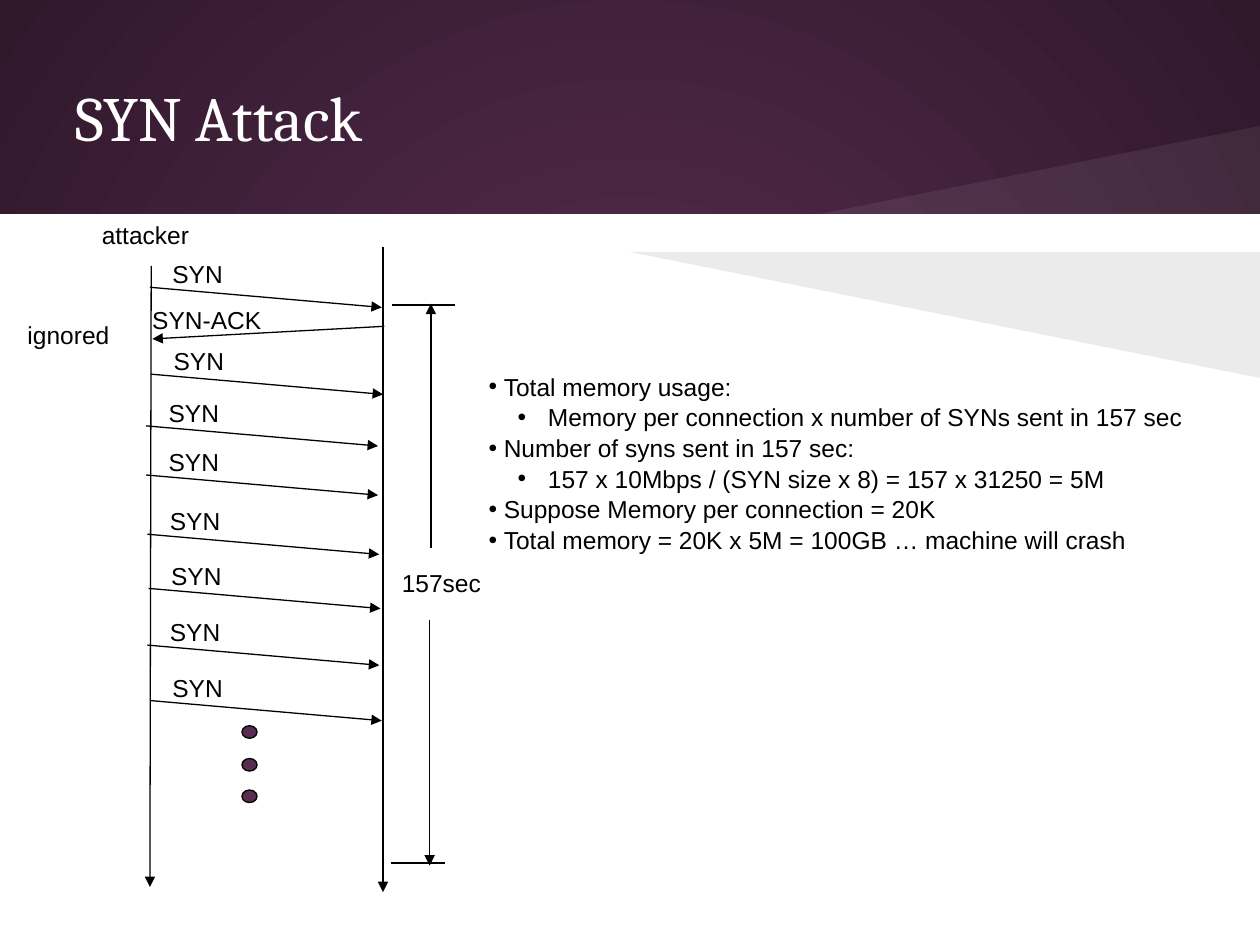
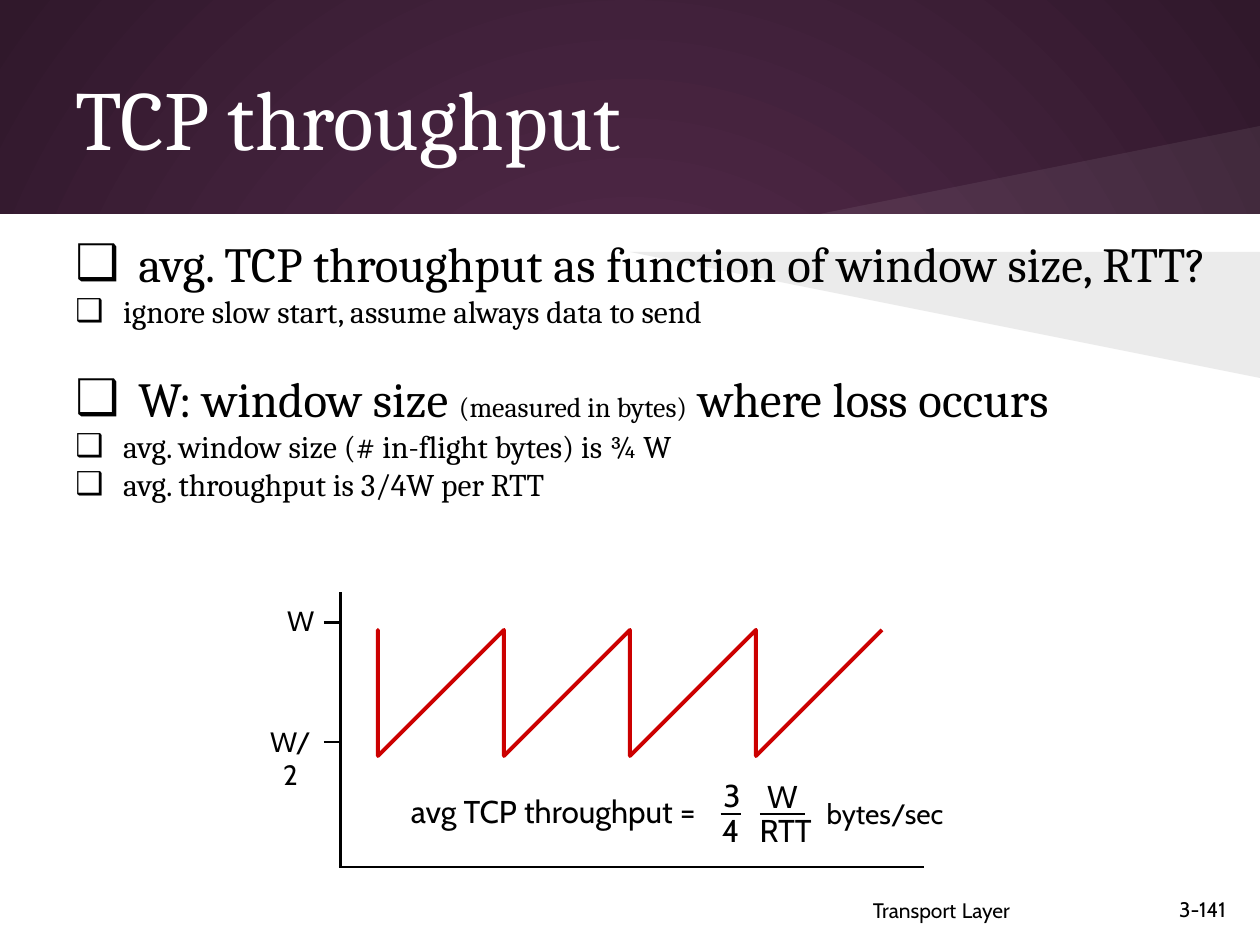
from lxml import etree
from pptx import Presentation
from pptx.dml.color import RGBColor
from pptx.enum import shapes, text
from pptx.oxml.ns import qn
from pptx.util import Inches, Pt

PLUM, DARK_PLUM, BLACK, WHITE, RED = "592D50", "30182B", "000000", "FFFFFF", "CC0000"
SERIF, SANS, CABIN = "Cambria", "Arial", "Cabin"
BAND_BOTTOM = 1.7

# SYN attack: where each SYN arrow starts
SYN_STARTS = [(1.19, 2.28), (1.2, 2.97), (1.16, 3.38), (1.16, 3.77),
              (1.17, 4.24), (1.18, 4.67), (1.17, 5.12), (1.19, 5.56)]
SYN_RUN, SYN_DROP = 1.84, 0.16
ATTACK_ARROWS = [
    (1.2, 2.11, 1.19, 7.04),   # attacker timeline
    (3.04, 1.96, 3.04, 7.08),  # victim timeline
    (3.05, 2.59, 1.21, 2.69),  # SYN-ACK
    (3.41, 4.92, 3.41, 6.87),  # end of the 157 seconds
    (3.42, 4.35, 3.42, 2.41),  # start of the 157 seconds
]
SPAN_LIMITS = [(3.11, 2.42, 3.61, 2.42), (3.1, 6.85, 3.53, 6.85)]
ATTACK_LABELS = [
    ("attacker", 0.71, 1.7, 1.1),
    ("ignored", 0.12, 2.49, 0.97),
    ("SYN-ACK", 1.11, 2.37, 1.2),
    ("157sec", 3.09, 4.46, 0.91),
]
DOT_TOPS = [5.76, 6.02, 6.27]
MEMORY_NOTES = [  # level, text
    (0, "Total memory usage:"),
    (1, "Memory per connection x number of SYNs sent in 157 sec"),
    (0, "Number of syns sent in 157 sec:"),
    (1, "157 x 10Mbps / (SYN size x 8) = 157 x 31250 = 5M"),
    (0, "Suppose Memory per connection = 20K"),
    (0, "Total memory = 20K x 5M = 100GB … machine will crash"),
]
NOTE_INDENTS = [(0.12, 0.12), (0.47, 0.24)]  # text indent, hanging part

# TCP throughput: indent, space before, spans of (text, size)
THROUGHPUT_NOTES = [
    (0.5, 0, [("avg. TCP throughput as function of window size, RTT?", 28)]),
    (0.38, 0, [("ignore slow start, assume always data to send", 18)]),
    (0.5, 22, [("W: window size ", 28), ("(measured in bytes)", 16),
               (" where loss occurs", 28)]),
    (0.38, 0, [("avg. window size (# in-flight bytes) is ¾ W", 18)]),
    (0.38, 0, [("avg. throughput is 3/4W per RTT", 18)]),
]
FOOTERS = [
    ([("Transport", 12), (" ", 14), ("Layer", 12)], 6.83, 7.05, 3.17),
    ([("3-141", 12)], 9.26, 7.07, 0.74),
]
WINDOW_PEAKS = [3.41, 4.12, 4.86, 5.55, 6.28, 7]
WINDOW_LOW, WINDOW_HIGH, WINDOW_START = 5.91, 4.94, 2.69
GRAPH_LINES = [
    (2.69, 6.88, 7.33, 6.88), (2.7, 4.7, 2.7, 6.89),  # axes
    (2.57, 4.94, 2.69, 4.94), (2.57, 5.89, 2.69, 5.89),  # ticks
    (5.72, 6.46, 5.88, 6.46), (6.03, 6.46, 6.39, 6.46),  # fraction bars
]
GRAPH_LABELS = [  # text, size, left, top, width, wraps
    ("W", 16, 2.18, 4.74, 0.4, False),
    ("W/2", 16, 2.03, 5.7, 0.55, True),
    ("avg TCP throughput = ", 18, 3.03, 6.24, 2.78, False),
    ("3", 18, 5.64, 6.11, 0.34, False),
    ("4", 18, 5.63, 6.39, 0.34, False),
    ("W", 18, 5.99, 6.12, 0.43, False),
    ("RTT", 18, 5.91, 6.39, 0.65, False),
    ("bytes/sec", 16, 6.46, 6.27, 1.13, False),
]


def color(hex_text):
    return RGBColor.from_string(hex_text)


def paint(shape, fill=None, line=None, width=0.75, alpha=None):
    shape.shadow.inherit = False
    if fill:
        shape.fill.solid()
        shape.fill.fore_color.rgb = color(fill)
        if alpha:
            tone = shape.fill._xPr.find(".//" + qn("a:srgbClr"))
            etree.SubElement(tone, qn("a:alpha"), val=str(alpha * 1000))
    else:
        shape.fill.background()
    if line:
        shape.line.color.rgb = color(line)
        shape.line.width = Pt(width)
    else:
        shape.line.fill.background()


def add_outline(page, points, closed, **look):
    builder = page.shapes.build_freeform(*points[0], scale=Inches(1))
    builder.add_line_segments(points[1:], close=closed)
    paint(builder.convert_to_shape(), **look)


def add_line(page, ends, width=0.75, arrow=False):
    line = page.shapes.add_connector(shapes.MSO_CONNECTOR.STRAIGHT,
                                     *(Inches(value) for value in ends))
    line.line.color.rgb = color(BLACK)
    line.line.width = Pt(width)
    if arrow:
        etree.SubElement(line.line._get_or_add_ln(), qn("a:tailEnd"), type="triangle")
    etree.SubElement(line._element.spPr, qn("a:effectLst"))


def add_box(page, left, top, width, height=0.37, wrap=True, inset=0.05):
    box = page.shapes.add_textbox(*(Inches(v) for v in (left, top, width, height)))
    frame = box.text_frame
    frame.word_wrap = wrap
    frame.margin_top = frame.margin_bottom = Inches(inset)
    return frame


def set_bullet(para, mark, indent, hanging):
    props = para._p.get_or_add_pPr()
    props.set("marL", str(Inches(indent)))
    props.set("indent", str(-Inches(hanging)))
    tint = etree.SubElement(props, qn("a:buClr"))
    etree.SubElement(tint, qn("a:srgbClr"), val=BLACK)
    etree.SubElement(props, qn("a:buFont"), typeface=SANS)
    etree.SubElement(props, qn("a:buChar"), char=mark)


def add_spans(para, spans, font, tone=BLACK):
    for words, size in spans:
        span = para.add_run()
        span.text = words
        span.font.name = font
        span.font.size = Pt(size)
        span.font.color.rgb = color(tone)


def add_label(page, words, left, top, width, size=14, font=SANS, wrap=True, centred=False):
    para = add_box(page, left, top, width, wrap=wrap).paragraphs[0]
    if centred:
        para.alignment = text.PP_ALIGN.CENTER
    add_spans(para, [(words, size)], font)


def add_bullets(frame, items, mark, font):
    """Each item is (indent, hanging, space before, spans)."""
    for number, (indent, hanging, before, spans) in enumerate(items):
        para = frame.add_paragraph() if number else frame.paragraphs[0]
        if number and before:
            para.space_before = Pt(before)
        set_bullet(para, mark, indent, hanging)
        add_spans(para, spans, font)


def set_background(page):
    fill = page.background.fill
    fill.gradient()
    for stop, tone in zip(fill.gradient_stops, (PLUM, DARK_PLUM)):
        stop.color.rgb = color(tone)
    gradient = page._element.find(".//" + qn("a:gradFill"))
    gradient.remove(gradient.find(qn("a:lin")))
    circle = etree.SubElement(gradient, qn("a:path"), path="circle")
    etree.SubElement(circle, qn("a:fillToRect"), l="50000", t="50000", r="50000", b="50000")


def add_page(deck, title, size):
    page = deck.slides.add_slide(deck.slide_layouts[6])
    set_background(page)
    sheet = page.shapes.add_shape(shapes.MSO_SHAPE.RECTANGLE, 0, Inches(BAND_BOTTOM),
                                  Inches(10), Inches(7.5 - BAND_BOTTOM))
    paint(sheet, WHITE)
    for tip, tone, alpha in ((0.83, WHITE, 7), (2.53, BLACK, 8)):
        corners = [(10, BAND_BOTTOM), (4.95, BAND_BOTTOM), (10, tip)]
        add_outline(page, corners, True, fill=tone, alpha=alpha)
    frame = add_box(page, 0.5, 0.3, 9, 1.25, inset=0.1)
    frame.vertical_anchor = text.MSO_ANCHOR.MIDDLE
    add_spans(frame.paragraphs[0], [(title, size)], SERIF, WHITE)
    return page


def build_attack(deck):
    page = add_page(deck, "SYN Attack", 36)
    for ends in ATTACK_ARROWS:
        add_line(page, ends, arrow=True)
    for ends in SPAN_LIMITS:
        add_line(page, ends)
    for x, y in SYN_STARTS:
        add_line(page, (x, y, x + SYN_RUN, y + SYN_DROP), arrow=True)
        add_label(page, "SYN", x + 0.08, y - 0.27, 0.67)
    for label in ATTACK_LABELS:
        add_label(page, *label)
    for top in DOT_TOPS:
        dot = page.shapes.add_shape(shapes.MSO_SHAPE.OVAL, Inches(1.92), Inches(top),
                                    Inches(0.12), Inches(0.1))
        paint(dot, PLUM, BLACK)
    notes = [(*NOTE_INDENTS[level], 0.7, [(words, 14)]) for level, words in MEMORY_NOTES]
    add_bullets(add_box(page, 3.78, 2.9, 6.01, 1.73), notes, "•", SANS)


def build_throughput(deck):
    page = add_page(deck, "TCP throughput", 48)
    notes = [(indent, indent, before, spans) for indent, before, spans in THROUGHPUT_NOTES]
    add_bullets(add_box(page, 0.5, 1.75, 9.5, 5.43, inset=0.1), notes, "❑", SERIF)
    for spans, left, top, width in FOOTERS:
        add_spans(add_box(page, left, top, width, 0.3).paragraphs[0], spans, CABIN)
    for ends in GRAPH_LINES:
        add_line(page, ends, width=1.5)
    sawtooth = [(WINDOW_START, WINDOW_LOW)]
    for peak in WINDOW_PEAKS:
        sawtooth += [(peak, WINDOW_HIGH), (peak, WINDOW_LOW)]
    add_outline(page, sawtooth[:-1], False, line=RED, width=2.25)
    for words, size, left, top, width, wrap in GRAPH_LABELS:
        add_label(page, words, left, top, width, size, CABIN, wrap, centred=True)


def main():
    deck = Presentation()
    deck.slide_width, deck.slide_height = Inches(10), Inches(7.5)
    build_attack(deck)
    build_throughput(deck)
    deck.save("out.pptx")


if __name__ == "__main__":
    main()
